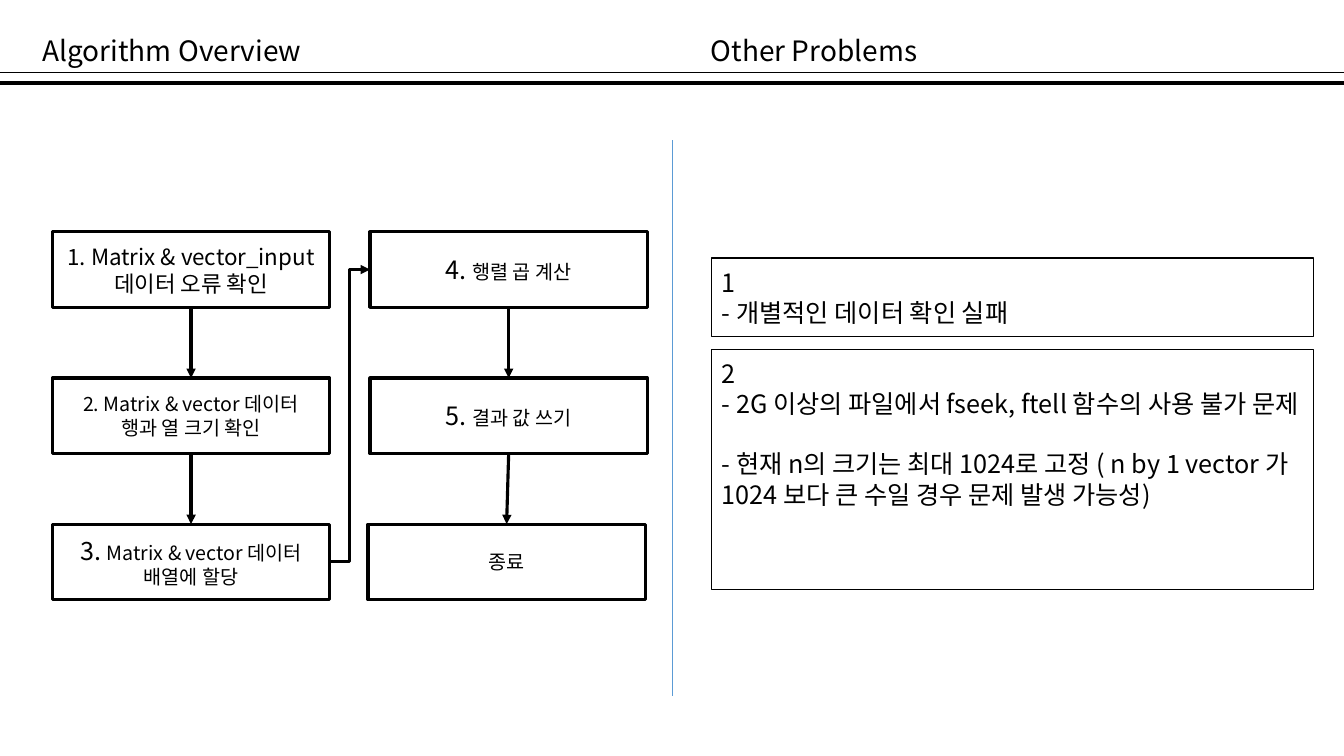
from lxml import etree
from pptx import Presentation
from pptx.dml.color import RGBColor
from pptx.enum.shapes import MSO_CONNECTOR, MSO_SHAPE
from pptx.enum.text import MSO_ANCHOR, MSO_AUTO_SIZE, PP_ALIGN
from pptx.oxml.ns import qn
from pptx.util import Inches, Pt

FONT = "Noto Sans CJK KR"
BLACK, BLUE = "000000", "5B9BD5"
STRAIGHT, ELBOW = MSO_CONNECTOR.STRAIGHT, MSO_CONNECTOR.ELBOW
RECT = MSO_SHAPE.RECTANGLE
BOTTOM, MIDDLE, TOP = MSO_ANCHOR.BOTTOM, MSO_ANCHOR.MIDDLE, MSO_ANCHOR.TOP
LEFT, CENTER = PP_ALIGN.LEFT, PP_ALIGN.CENTER
NO_FIT = MSO_AUTO_SIZE.NONE


def add_run(p, text, size):
    r = p.add_run()
    r.text = text
    r.font.size = Pt(size)
    r.font.name = FONT
    r.font.color.rgb = RGBColor.from_string(BLACK)
    etree.SubElement(r.font._element, qn("a:ea"), typeface=FONT)


def add_line(kind, x1, y1, x2, y2, color, width, arrow=False):
    c = slide.shapes.add_connector(kind, Inches(x1), Inches(y1), Inches(x2), Inches(y2))
    c.line.color.rgb = RGBColor.from_string(color)
    c.line.width = Pt(width)
    if arrow:
        etree.SubElement(c.line._get_or_add_ln(), qn("a:tailEnd"), type="triangle")
    etree.SubElement(c._element.spPr, qn("a:effectLst"))
    return c


prs = Presentation()
prs.slide_width = Inches(13.33)
prs.slide_height = Inches(7.5)
slide = prs.slides.add_slide(prs.slide_layouts[3])
title, subtitle, problems = slide.placeholders

add_line(STRAIGHT, 0, 0.82, 13.33, 0.82, BLACK, 3)
add_line(STRAIGHT, 0, 0.72, 13.33, 0.72, BLACK, 0.75)
add_line(STRAIGHT, 6.67, 1.39, 6.67, 6.9, BLUE, 1)

problem_lines = [
    ("1", 0),
    ("- 개별적인 데이터 확인 실패", 0),
    ("2", 21.6),
    ("- 2G 이상의 파일에서 fseek, ftell 함수의 사용 불가 문제", 0),
    ("- 현재 n의 크기는 최대 1024로 고정 ( n by 1 vector 가 1024 보다 큰 수일 경우 문제 발생 가능성)", 21.6),
]
texts = [
    (title, 0.32, 0, 11.7, 0.72, BOTTOM, 20, 0.9, [("Algorithm Overview", 0)]),
    (subtitle, 6.95, 0, 3.54, 0.72, BOTTOM, 20, 0.9, [("Other Problems", 0)]),
    (problems, 7.06, 2.6, 5.97, 3.25, TOP, 18, 1.0, problem_lines),
]
for sp, x, y, w, h, anchor, size, spacing, lines in texts:
    sp.left, sp.top, sp.width, sp.height = Inches(x), Inches(y), Inches(w), Inches(h)
    tf = sp.text_frame
    tf.word_wrap = True
    tf.auto_size = NO_FIT
    tf.vertical_anchor = anchor
    for i, (text, before) in enumerate(lines):
        p = tf.add_paragraph() if i else tf.paragraphs[0]
        pPr = p._p.get_or_add_pPr()
        pPr.set("marL", "0")
        pPr.set("indent", "0")
        etree.SubElement(pPr, qn("a:buNone"))
        p.alignment = LEFT
        p.line_spacing = spacing
        p.space_before = Pt(before)
        add_run(p, text, size)

ROW_TOP, ROW_STEP = 2.3, 1.45
columns = [
    [
        (0.52, [[("1. Matrix & vector_input 데이터 오류 확인", 16)]]),
        (0.52, [[("2. Matrix & vector 데이터", 14)], [("행과 열 크기 확인", 14)]]),
        (0.52, [[("3. ", 18), ("Matrix & vector 데이터 배열에 할당", 14)]]),
    ],
    [
        (3.67, [[("4. ", 18), ("행렬 곱 계산", 14)]]),
        (3.67, [[("5. ", 18), ("결과 값 쓰기", 14)]]),
        (3.65, [[("종료", 14)]]),
    ],
]
steps = []
for column in columns:
    for row, (x, paragraphs) in enumerate(column):
        sp = slide.shapes.add_shape(RECT, Inches(x), Inches(ROW_TOP + row * ROW_STEP), Inches(2.75), Inches(0.75))
        sp.shadow.inherit = False
        sp.fill.background()
        sp.line.color.rgb = RGBColor.from_string(BLACK)
        sp.line.width = Pt(2.25)
        tf = sp.text_frame
        tf.word_wrap = True
        tf.vertical_anchor = MIDDLE
        for i, runs in enumerate(paragraphs):
            p = tf.add_paragraph() if i else tf.paragraphs[0]
            p.alignment = CENTER
            for text, size in runs:
                add_run(p, text, size)
        steps.append(sp)

for i, (start, end) in enumerate(zip(steps, steps[1:])):
    turn = i == 2
    c = add_line(ELBOW if turn else STRAIGHT, 0, 0, 1, 1, BLACK, 2.25, True)
    c.begin_connect(start, 3 if turn else 2)
    c.end_connect(end, 1 if turn else 0)

for y, h in [(2.56, 0.78), (3.47, 2.38)]:
    sp = slide.shapes.add_shape(RECT, Inches(7.06), Inches(y), Inches(5.97), Inches(h))
    sp.shadow.inherit = False
    sp.fill.background()
    sp.line.color.rgb = RGBColor.from_string(BLACK)
    sp.line.width = Pt(1)

prs.save("out.pptx")
